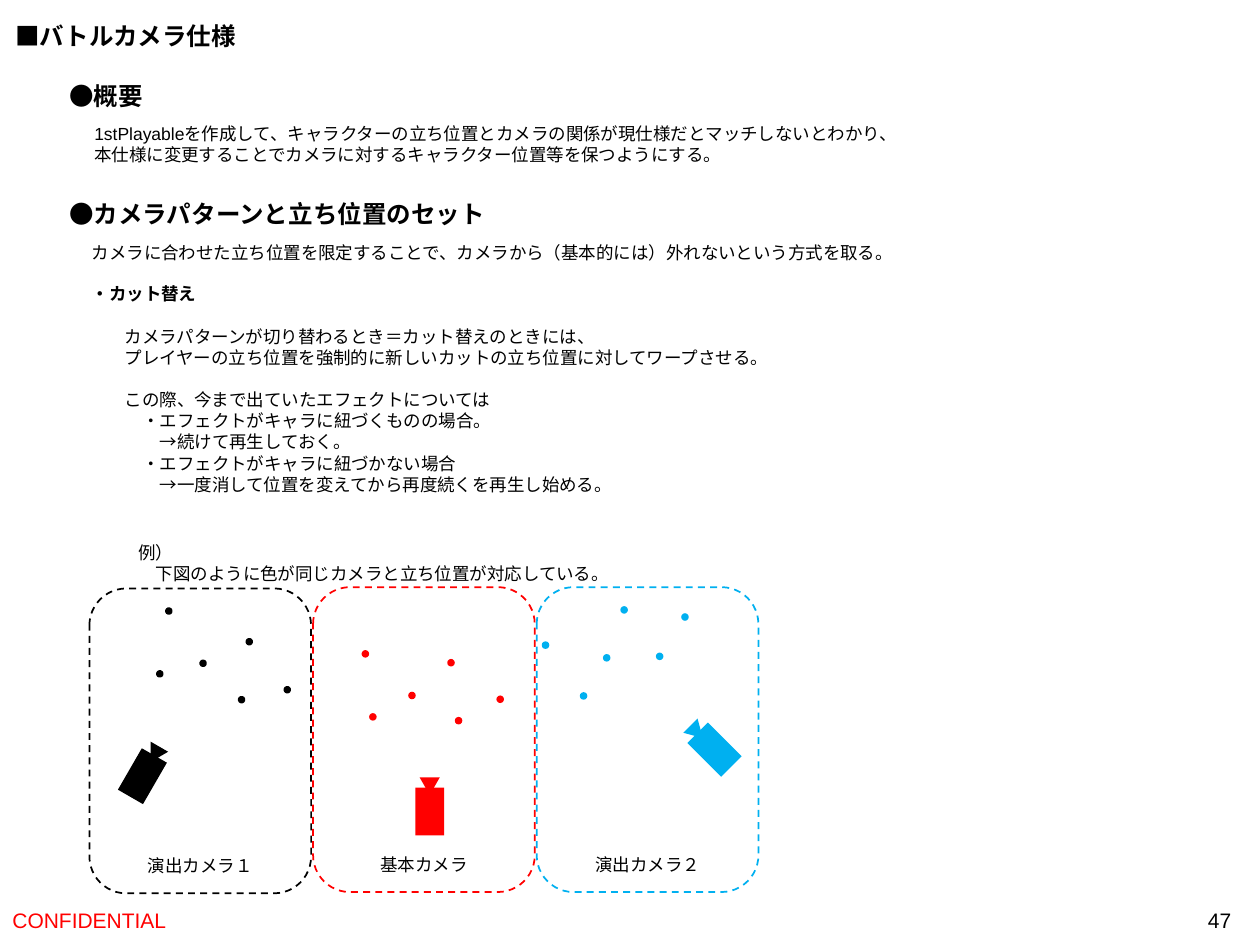
from math import cos, radians, sin

from lxml.etree import SubElement
from pptx import Presentation
from pptx.dml.color import RGBColor
from pptx.enum.dml import MSO_LINE
from pptx.enum.shapes import MSO_SHAPE as SHAPE
from pptx.enum.text import MSO_ANCHOR as ANCHOR, MSO_AUTO_SIZE as FIT, PP_ALIGN as ALIGN
from pptx.oxml.ns import qn
from pptx.util import Inches, Pt

ARIAL, ADVENTOR = "Arial", "TeX Gyre Adventor"
BLACK, RED, BLUE = "000000", "FF0000", "00B0F0"
rgb = RGBColor.from_string


def write(sp, text, size=10, font=ARIAL, bold=False, color=BLACK, align=ALIGN.LEFT):
    sp.text_frame.text = text
    for p in sp.text_frame.paragraphs:
        p.alignment = align
        p.space_before = Pt(0)
        for r in p.runs:
            r.font.size, r.font.name, r.font.bold = Pt(size), font, bold
            r.font.color.rgb = rgb(color)


def add_solid(group, kind, cx, cy, w, h, angle, color):
    sp = group.shapes.add_shape(kind, Inches(cx - w / 2), Inches(cy - h / 2), Inches(w), Inches(h))
    sp.rotation = angle % 360
    sp.shadow.inherit = False
    sp.fill.solid()
    sp.fill.fore_color.rgb = rgb(color)
    sp.line.fill.background()


prs = Presentation()
prs.slide_width, prs.slide_height = Inches(10), Inches(7.5)
s = prs.slides.add_slide(prs.slide_layouts[1])
title, body = s.placeholders[0], s.placeholders[1]

# Headings and paragraphs
texts = [
    (title, 0.02, 0.12, 1.97, 0.34, 14, ARIAL, True, "■バトルカメラ仕様"),
    (None, 0.45, 0.59, 0.79, 0.34, 14, ADVENTOR, True, "●概要"),
    (None, 0.65, 0.93, 6.72, 0.44, 10, ARIAL, False,
     "1stPlayableを作成して、キャラクターの立ち位置とカメラの関係が現仕様だとマッチしないとわかり、\n"
     "本仕様に変更することでカメラに対するキャラクター位置等を保つようにする。"),
    (None, 0.45, 1.53, 3.54, 0.34, 14, ADVENTOR, True, "●カメラパターンと立ち位置のセット"),
    (None, 0.63, 1.87, 6.65, 0.27, 10, ARIAL, False,
     "カメラに合わせた立ち位置を限定することで、カメラから（基本的には）外れないという方式を取る。"),
    (None, 0.63, 2.2, 1.04, 0.27, 10, ARIAL, True, "・カット替え"),
    (body, 0.89, 2.54, 5.39, 1.45, 10, ARIAL, False,
     "カメラパターンが切り替わるとき＝カット替えのときには、\n"
     "プレイヤーの立ち位置を強制的に新しいカットの立ち位置に対してワープさせる。\n"
     "この際、今まで出ていたエフェクトについては\n"
     "・エフェクトがキャラに紐づくものの場合。\n"
     "→続けて再生しておく。\n"
     "・エフェクトがキャラに紐づかない場合\n"
     "→一度消して位置を変えてから再度続くを再生し始める。"),
    (None, 1, 4.25, 3.99, 0.44, 10, ARIAL, False,
     "例）\n下図のように色が同じカメラと立ち位置が対応している。"),
]
for sp, x, y, w, h, size, font, bold, text in texts:
    box = Inches(x), Inches(y), Inches(w), Inches(h)
    sp = sp or s.shapes.add_textbox(*box)
    sp.left, sp.top, sp.width, sp.height = box
    write(sp, text, size, font, bold)
    tf = sp.text_frame
    tf.word_wrap, tf.auto_size, tf.vertical_anchor = False, FIT.SHAPE_TO_FIT_TEXT, ANCHOR.TOP

# Indents of one full-width character per level
example = sp
for sp, levels in ((body, (0, 0, 0, 1, 2, 1, 2)), (example, (0, 1))):
    for p, level in zip(sp.text_frame.paragraphs, levels):
        pPr = p._p.get_or_add_pPr()
        pPr.set("marL", str(Pt(10 * level)))
        pPr.set("indent", "0")
        SubElement(pPr, qn("a:buNone"))
body.text_frame.paragraphs[2].space_before = Pt(12)

# Footer
for x, w, text, color, align in ((0, 3.38, "CONFIDENTIAL", RED, ALIGN.LEFT),
                                 (7.62, 2.25, "47", BLACK, ALIGN.RIGHT)):
    sp = s.shapes.add_textbox(Inches(x), Inches(7.1), Inches(w), Inches(0.4))
    write(sp, text, 12, color=color, align=align)
    sp.text_frame.word_wrap = True
    sp.text_frame.vertical_anchor = ANCHOR.MIDDLE

# Each scene: label, colour, frame top, first dot, formation turn, camera centre, heading
scenes = [
    ("演出カメラ１", BLACK, 4.67, (1.34, 4.85), 15, (1.13, 6.16), 30),
    ("基本カメラ", RED, 4.66, (2.9, 5.19), 0, (3.41, 6.44), 0),
    ("演出カメラ２", BLUE, 4.66, (4.33, 5.12), -30, (5.67, 5.95), -45),
]
FORMATION = [(0, 0), (0.37, 0.33), (0.68, 0.07), (0.06, 0.5), (0.74, 0.53), (1.07, 0.36)]
for i, (label, color, top, (x0, y0), turn, (cx, cy), heading) in enumerate(scenes):
    # Standing positions: one formation turned about its first dot
    dots = s.shapes.add_group_shape()
    c, d = cos(radians(turn)), sin(radians(turn))
    for x, y in FORMATION:
        add_solid(dots, SHAPE.OVAL, x0 + x * c - y * d, y0 + x * d + y * c, 0.06, 0.06, turn, color)

    # Camera: lens 0.2 in ahead of the body
    camera = s.shapes.add_group_shape()
    a = radians(heading)
    add_solid(camera, SHAPE.ISOSCELES_TRIANGLE, cx + 0.2 * sin(a), cy - 0.2 * cos(a),
              0.16, 0.14, 180 + heading, color)
    add_solid(camera, SHAPE.RECTANGLE, cx, cy, 0.23, 0.38, 180 + heading, color)

    # Dashed frame with its label
    frame = s.shapes.add_shape(SHAPE.ROUNDED_RECTANGLE, Inches(0.71 + 1.775 * i), Inches(top),
                               Inches(1.76), Inches(2.42))
    frame.shadow.inherit = False
    frame.fill.background()
    frame.line.color.rgb = rgb(color)
    frame.line.width, frame.line.dash_style = Pt(1), MSO_LINE.DASH
    write(frame, label, font=ADVENTOR, align=ALIGN.CENTER)
    frame.text_frame.vertical_anchor = ANCHOR.BOTTOM

prs.save("out.pptx")
